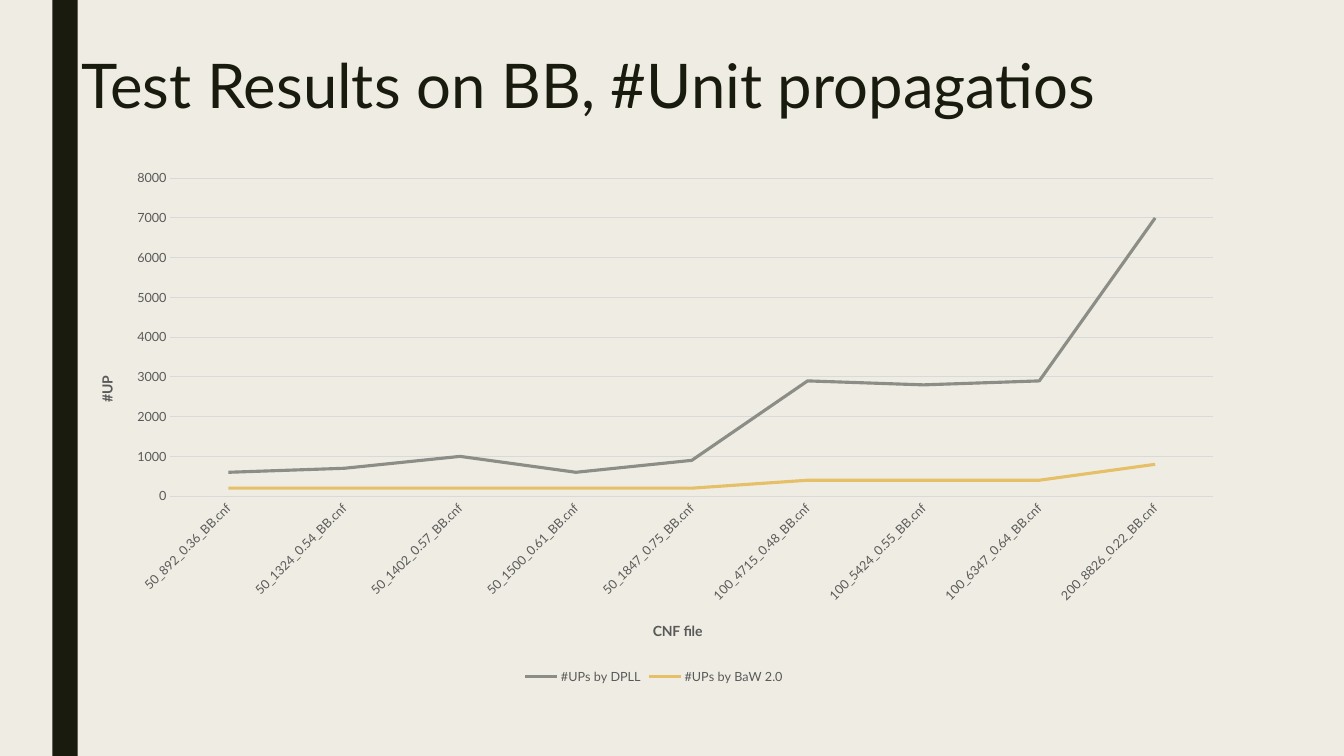
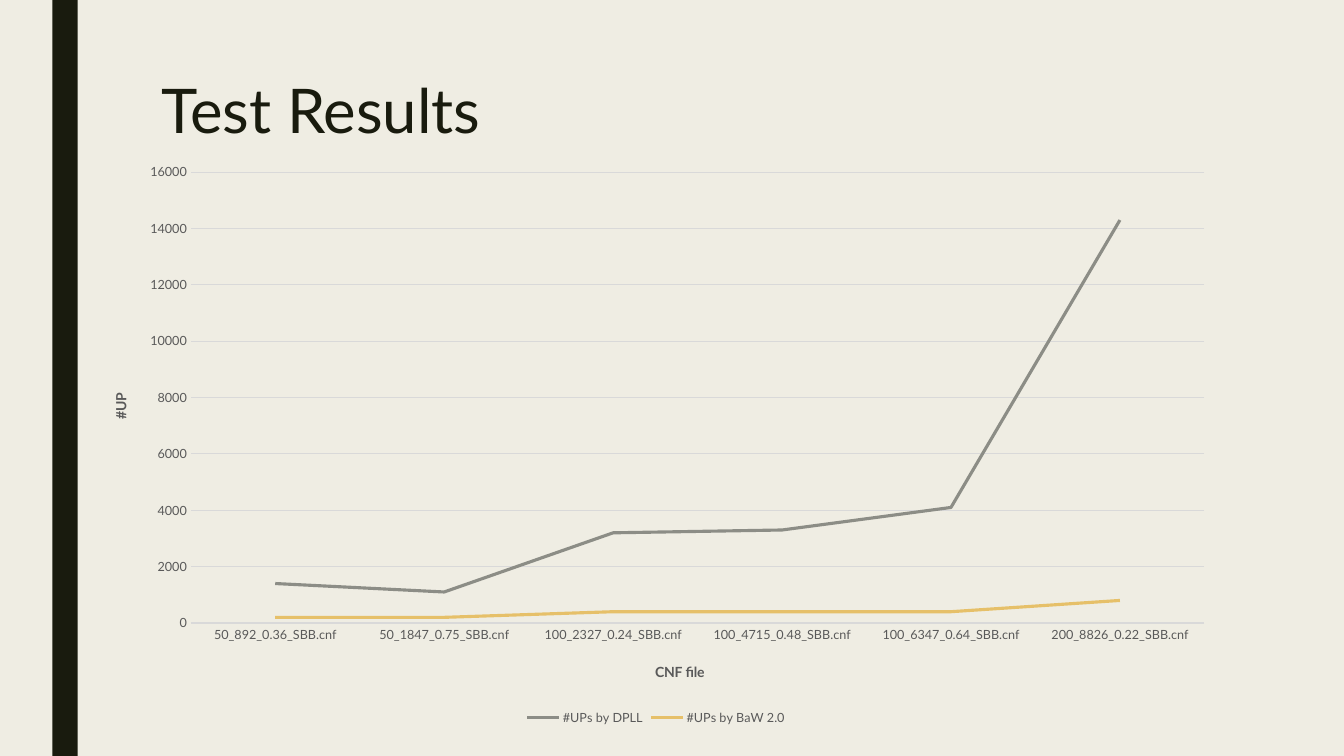
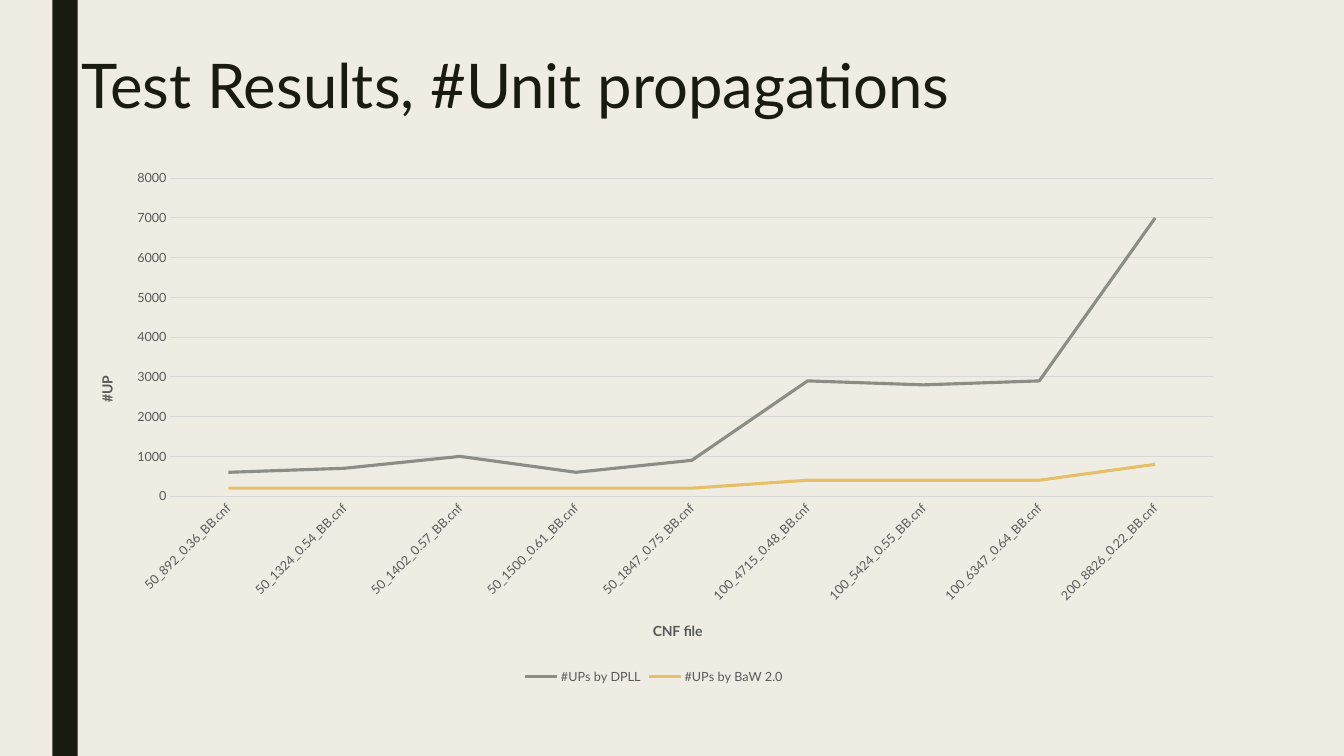
from lxml import etree
from pptx import Presentation
from pptx.chart.data import CategoryChartData
from pptx.dml.color import RGBColor
from pptx.enum.chart import XL_CHART_TYPE, XL_LEGEND_POSITION, XL_TICK_MARK
from pptx.enum.shapes import MSO_SHAPE
from pptx.enum.text import MSO_ANCHOR, MSO_AUTO_SIZE, PP_ALIGN
from pptx.oxml.ns import qn
from pptx.util import Cm, Pt

LINE_CHART = XL_CHART_TYPE.LINE
BOTTOM = XL_LEGEND_POSITION.BOTTOM
NO_TICK = XL_TICK_MARK.NONE
RECT = MSO_SHAPE.RECTANGLE
TOP = MSO_ANCHOR.TOP
NO_FIT = MSO_AUTO_SIZE.NONE
LEFT = PP_ALIGN.LEFT

FONT = "Lato"
PAPER = RGBColor(0xEF, 0xED, 0xE3)
INK = RGBColor(0x19, 0x1B, 0x0E)
LABEL = RGBColor(0x59, 0x59, 0x59)
GRID = RGBColor(0xD9, 0xD9, 0xD9)
GRAY = RGBColor(0x8C, 0x8D, 0x86)
GOLD = RGBColor(0xE6, 0xC0, 0x69)


def set_layout(parent, index, **fractions):
    """Place a chart part by fractions of the chart area."""
    for old in parent.findall(qn("c:layout")):
        parent.remove(old)
    layout = etree.Element(qn("c:layout"))
    parent.insert(index, layout)
    manual = etree.SubElement(layout, qn("c:manualLayout"))
    if "w" in fractions:
        etree.SubElement(manual, qn("c:layoutTarget")).set("val", "inner")
    for key in ("x", "y"):
        etree.SubElement(manual, qn(f"c:{key}Mode")).set("val", "edge")
    for key, value in fractions.items():
        etree.SubElement(manual, qn(f"c:{key}")).set("val", str(value))


# Test results: categories, values, value axis, places and label angle
bb = dict(
    cats=["50_892_0.36_BB.cnf", "50_1324_0.54_BB.cnf", "50_1402_0.57_BB.cnf",
          "50_1500_0.61_BB.cnf", "50_1847_0.75_BB.cnf", "100_4715_0.48_BB.cnf",
          "100_5424_0.55_BB.cnf", "100_6347_0.64_BB.cnf", "200_8826_0.22_BB.cnf"],
    dpll=[600, 700, 1000, 600, 900, 2900, 2800, 2900, 7000],
    baw=[200, 200, 200, 200, 200, 400, 400, 400, 800],
    top=8000, step=1000, angle=-45,
    title_box=(1.8, 1.27, 26.14, 2.51), chart_box=(1.8, 4.04, 29.36, 13.31),
    plot=dict(x=0.085, y=0.034, w=0.895, h=0.602),
    cat_title=dict(x=0.497, y=0.867), val_title=dict(x=0.02, y=0.403))
sbb = dict(
    cats=["50_892_0.36_SBB.cnf", "50_1847_0.75_SBB.cnf", "100_2327_0.24_SBB.cnf",
          "100_4715_0.48_SBB.cnf", "100_6347_0.64_SBB.cnf", "200_8826_0.22_SBB.cnf"],
    dpll=[1400, 1100, 3200, 3300, 4100, 14300],
    baw=[200, 200, 400, 400, 400, 800],
    top=16000, step=2000, angle=0,
    title_box=(3.81, 1.91, 26.67, 4.11), chart_box=(2.13, 3.86, 28.8, 14.53),
    plot=dict(x=0.093, y=0.033, w=0.887, h=0.782),
    cat_title=dict(x=0.497, y=0.879), val_title=dict(x=0.021, y=0.411))
slides = [("Test Results on BB, #Unit propagatios", bb),
          ("Test Results", sbb),
          ("Test Results, #Unit propagations", bb)]

prs = Presentation()
prs.slide_width, prs.slide_height = Cm(33.87), Cm(19.05)
fill = prs.slide_master.background.fill
fill.solid()
fill.fore_color.rgb = PAPER

for heading, test in slides:
    s = prs.slides.add_slide(prs.slide_layouts[5])

    # Side band, behind the title
    band = s.shapes.add_shape(RECT, Cm(1.32), 0, Cm(0.64), prs.slide_height)
    band.shadow.inherit = False
    band.fill.solid()
    band.fill.fore_color.rgb = INK
    band.line.fill.background()
    s.shapes.element.insert(2, band.element)

    # Title
    title = s.shapes.title
    title.left, title.top, title.width, title.height = map(Cm, test["title_box"])
    tf = title.text_frame
    tf.word_wrap = True
    tf.auto_size = NO_FIT
    tf.vertical_anchor = TOP
    p = tf.paragraphs[0]
    p.alignment = LEFT
    p.line_spacing = 0.89
    r = p.add_run()
    r.text = heading
    r.font.name, r.font.size = FONT, Pt(44)
    r.font.color.rgb = INK

    # Chart
    data = CategoryChartData()
    data.categories = test["cats"]
    data.add_series("#UPs by DPLL", test["dpll"])
    data.add_series("#UPs by BaW 2.0", test["baw"])
    chart = s.shapes.add_chart(LINE_CHART, *map(Cm, test["chart_box"]), data).chart
    chart.has_title = False
    chart.font.name, chart.font.size = FONT, Pt(9)
    chart.font.color.rgb = LABEL
    chart.has_legend = True
    chart.legend.position = BOTTOM
    chart.legend.include_in_layout = False
    plot = chart.plots[0]
    plot.vary_by_categories = False
    for series, color in zip(plot.series, (GRAY, GOLD)):
        series.smooth = False
        series.format.line.width = Pt(2.25)
        series.format.line.color.rgb = color

    # Axes
    cat, val = chart.category_axis, chart.value_axis
    val.minimum_scale, val.maximum_scale = 0, test["top"]
    val.major_unit = test["step"]
    val.format.line.fill.background()
    for line in (cat.format.line, val.major_gridlines.format.line):
        line.width = Pt(0.75)
        line.color.rgb = GRID
    for axis, text, place, angle in ((cat, "CNF file", "cat_title", 0),
                                     (val, "#UP", "val_title", -90)):
        axis.major_tick_mark = axis.minor_tick_mark = NO_TICK
        axis.tick_labels.font.size = Pt(9)
        r = axis.axis_title.text_frame.paragraphs[0].add_run()
        r.text = text
        r.font.name, r.font.size, r.font.bold = FONT, Pt(10), True
        r.font.color.rgb = LABEL
        box = axis.axis_title.element
        body = box.find(".//" + qn("a:bodyPr"))
        body.set("rot", str(angle * 60000))
        body.set("vert", "horz")
        set_layout(box, 1, **test[place])

    # Angle of the category labels and place of the plot
    area = chart.element.find(".//" + qn("c:plotArea"))
    body = area.find(f"{qn('c:catAx')}/{qn('c:txPr')}/{qn('a:bodyPr')}")
    body.set("rot", str(test["angle"] * 60000))
    body.set("vert", "horz")
    set_layout(area, 0, **test["plot"])

prs.save("out.pptx")
